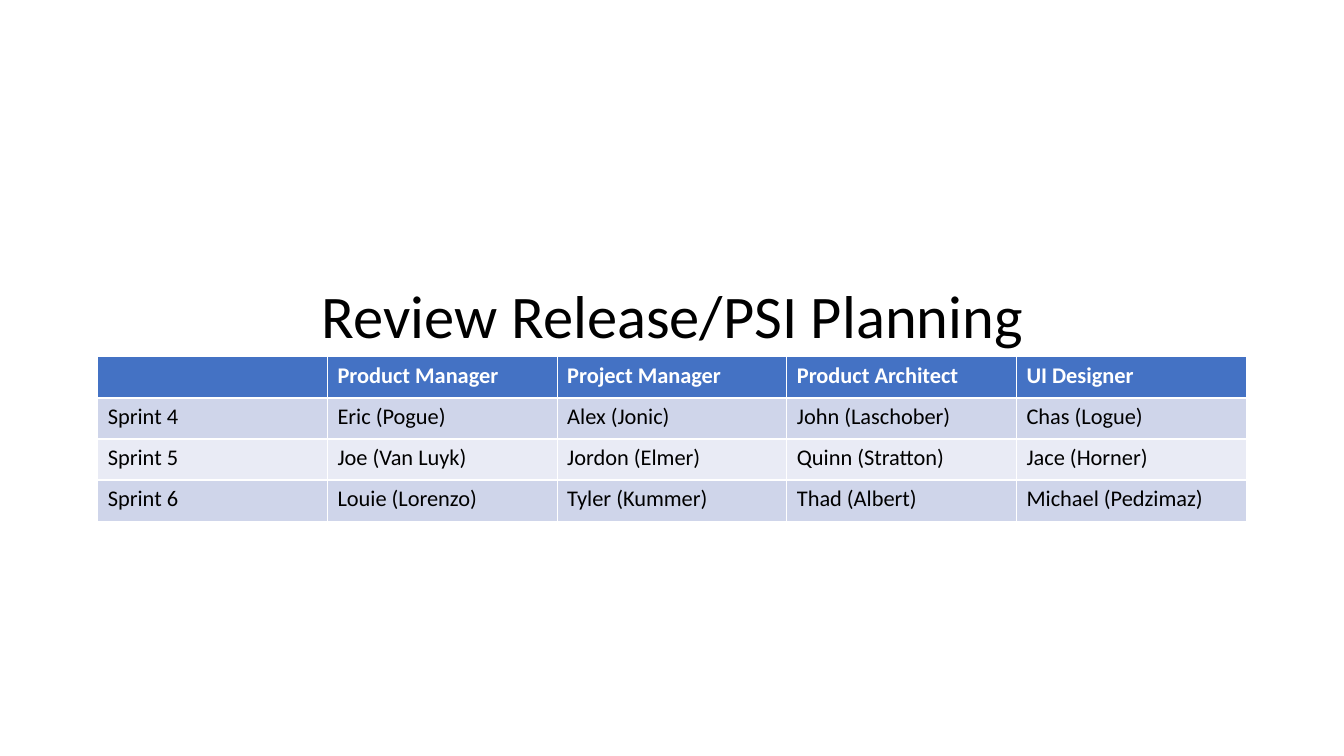
from pptx import Presentation
from pptx.dml.color import RGBColor
from pptx.enum.text import MSO_ANCHOR, MSO_AUTO_SIZE, PP_ALIGN
from pptx.util import Inches, Pt

BLACK = RGBColor(0x00, 0x00, 0x00)
WHITE = RGBColor(0xFF, 0xFF, 0xFF)
HEADER_BLUE = RGBColor(0x44, 0x72, 0xC4)
BAND_DARK = RGBColor(0xCF, 0xD5, 0xEA)
BAND_LIGHT = RGBColor(0xE9, 0xEB, 0xF5)
FONT = "Calibri"

SPRINT_ROLES = [
    ["", "Product Manager", "Project Manager", "Product Architect", "UI Designer"],
    ["Sprint 4", "Eric (Pogue)", "Alex (Jonic)", "John (Laschober)", "Chas (Logue)"],
    ["Sprint 5", "Joe (Van Luyk)", "Jordon (Elmer)", "Quinn (Stratton)", "Jace (Horner)"],
    ["Sprint 6", "Louie (Lorenzo)", "Tyler (Kummer)", "Thad (Albert)", "Michael (Pedzimaz)"],
]


def format_font(font, size, color, bold=False):
    font.name = FONT
    font.size = Pt(size)
    font.bold = bold
    font.color.rgb = color


def place_title(slide, text, left, top, width, height):
    title = slide.shapes.title
    title.left, title.top, title.width, title.height = left, top, width, height
    frame = title.text_frame
    frame.text = text
    frame.word_wrap = True
    frame.auto_size = MSO_AUTO_SIZE.NONE
    frame.vertical_anchor = MSO_ANCHOR.BOTTOM
    paragraph = frame.paragraphs[0]
    paragraph.alignment = PP_ALIGN.CENTER
    paragraph.line_spacing = 0.9
    format_font(paragraph.runs[0].font, 43.2, BLACK)


def add_role_table(slide, rows, left, top, width, height):
    shape = slide.shapes.add_table(len(rows), len(rows[0]), left, top, width, height)
    table = shape.table
    for row_index, texts in enumerate(rows):
        is_header = row_index == 0
        band = BAND_DARK if row_index % 2 else BAND_LIGHT
        for column_index, text in enumerate(texts):
            cell = table.cell(row_index, column_index)
            cell.fill.solid()
            cell.fill.fore_color.rgb = HEADER_BLUE if is_header else band
            cell.text = text
            for run in cell.text_frame.paragraphs[0].runs:
                format_font(run.font, 16, WHITE if is_header else BLACK, is_header)


def build_planning_slide(presentation):
    slide = presentation.slides.add_slide(presentation.slide_layouts[0])
    subtitle = slide.placeholders[1].element
    subtitle.getparent().remove(subtitle)
    place_title(slide, "Review Release/PSI Planning",
                Inches(1.67), Inches(2.75), Inches(10), Inches(0.79))
    add_role_table(slide, SPRINT_ROLES,
                   Inches(0.97), Inches(3.54), Inches(11.39), Inches(1.63))


def main():
    presentation = Presentation()
    presentation.slide_width = Inches(13.33)
    presentation.slide_height = Inches(7.5)
    build_planning_slide(presentation)
    presentation.save("out.pptx")


if __name__ == "__main__":
    main()
